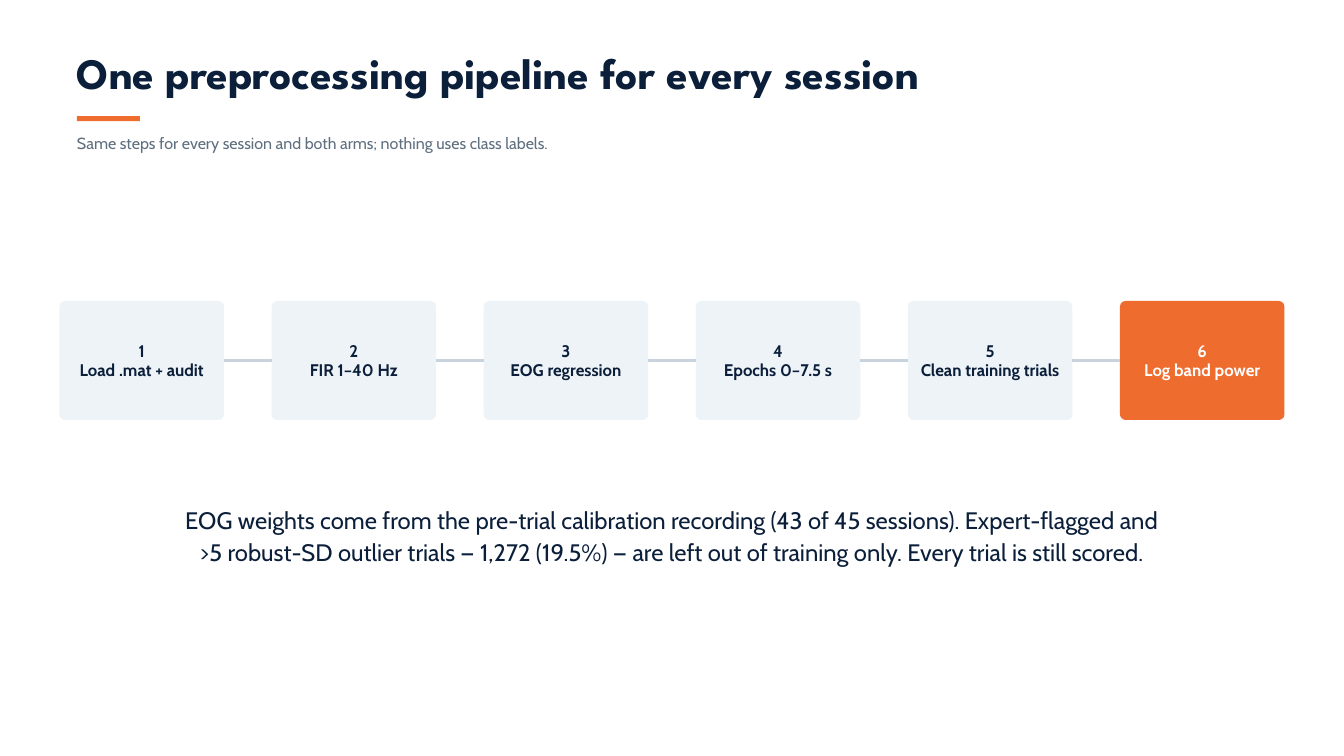
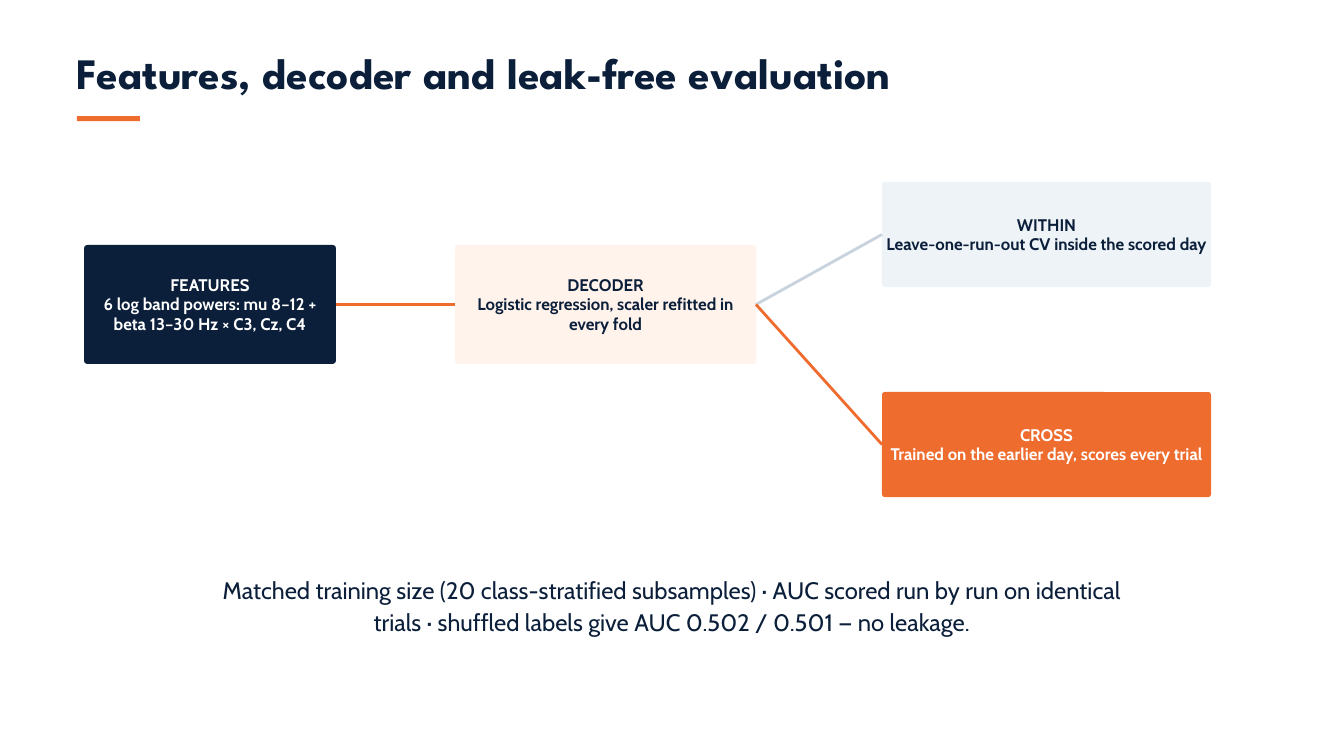
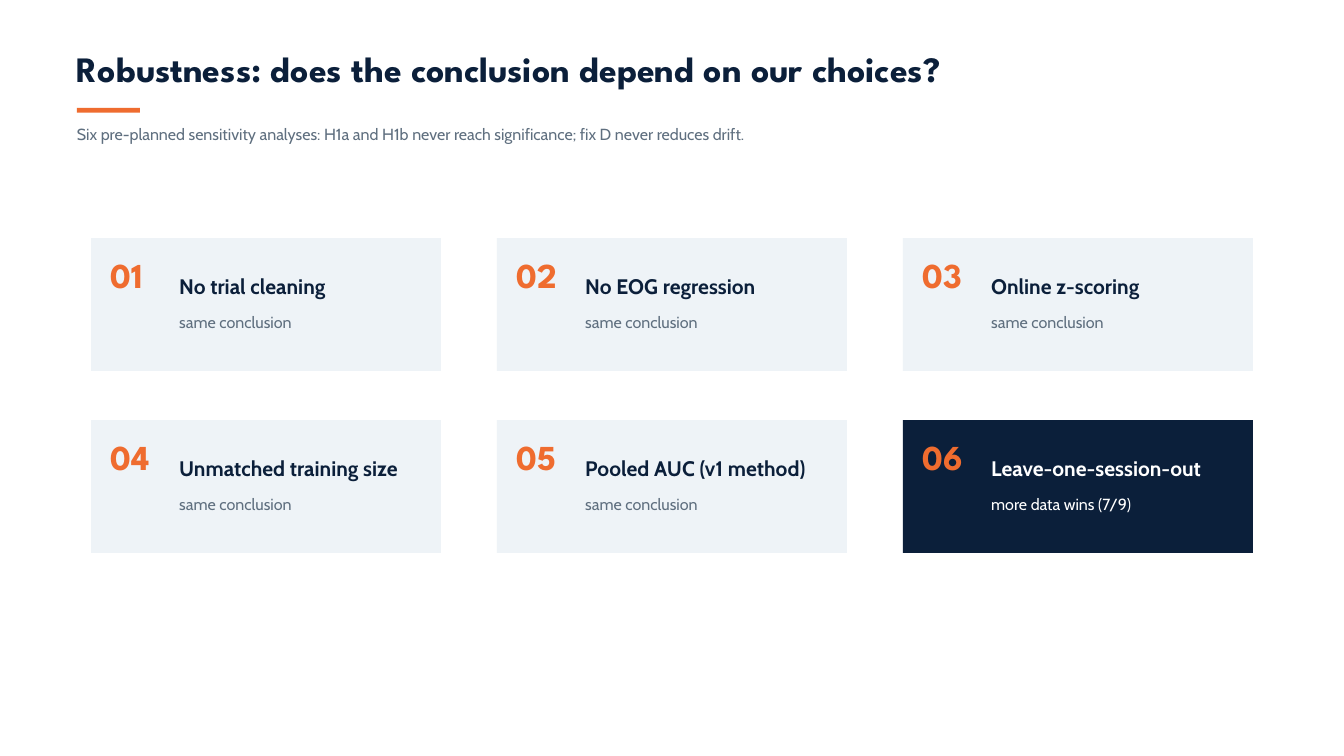
"""Build three slides on the pipeline, the evaluation design and the robustness checks."""
from dataclasses import dataclass

from lxml import etree
from pptx import Presentation
from pptx import util as u
from pptx.dml.color import RGBColor
from pptx.enum import shapes, text
from pptx.oxml import ns


@dataclass(frozen=True)
class Style:
    size: float
    leading: float
    font: str = "Cabin"
    bold: bool = False


@dataclass(frozen=True)
class Theme:
    navy: str = "0B1F3A"
    orange: str = "EF6C2F"
    gray: str = "5F6F7F"
    pale: str = "EEF3F7"
    cream: str = "FFF3EB"
    rule: str = "C8D3DD"
    white: str = "FFFFFF"
    title: Style = Style(46.5, 48.8, "League Spartan", True)
    long_title: Style = Style(38.2, 40.2, "League Spartan", True)
    subtitle: Style = Style(17.2, 22.4)
    box: Style = Style(18, 20.7, bold=True)
    note: Style = Style(25.5, 34.4)
    number: Style = Style(37.5, 35.6, "League Spartan", True)
    card: Style = Style(22.5, 30.4, bold=True)


THEME = Theme()
PX = 9525
SLIDE_SIZE = (1920, 1080)

PIPELINE = {
    "title": "One preprocessing pipeline for every session",
    "subtitle": "Same steps for every session and both arms; nothing uses class labels.",
    "steps": ["Load .mat + audit", "FIR 1–40 Hz", "EOG regression",
              "Epochs 0–7.5 s", "Clean training trials", "Log band power"],
    "note": "EOG weights come from the pre-trial calibration recording (43 of 45 sessions). "
            "Expert-flagged and >5 robust-SD outlier trials — 1,272 (19.5%) — are left out of "
            "training only. Every trial is still scored.",
}
EVALUATION = {
    "title": "Features, decoder and leak-free evaluation",
    "boxes": {
        "FEATURES": ("6 log band powers: mu 8–12 + beta 13–30 Hz × C3, Cz, C4",
                     (120, 350, 360, 170), THEME.navy, THEME.white, 5),
        "DECODER": ("Logistic regression, scaler refitted in every fold",
                    (650, 350, 430, 170), THEME.cream, THEME.navy, 4),
        "WITHIN": ("Leave-one-run-out CV inside the scored day",
                   (1260, 260, 470, 150), THEME.pale, THEME.navy, 4),
        "CROSS": ("Trained on the earlier day, scores every trial",
                  (1260, 560, 470, 150), THEME.orange, THEME.white, 4),
    },
    "links": [("FEATURES", "DECODER", THEME.orange, 3.75),
              ("DECODER", "WITHIN", THEME.rule, 3),
              ("DECODER", "CROSS", THEME.orange, 3)],
    "note": "Matched training size (20 class-stratified subsamples) · AUC scored run by run on "
            "identical trials · shuffled labels give AUC 0.502 / 0.501 — no leakage.",
}
ROBUSTNESS = {
    "title": "Robustness: does the conclusion depend on our choices?",
    "subtitle": "Six pre-planned sensitivity analyses: H1a and H1b never reach significance; "
                "fix D never reduces drift.",
    "cards": [("No trial cleaning", "same conclusion"),
              ("No EOG regression", "same conclusion"),
              ("Online z-scoring", "same conclusion"),
              ("Unmatched training size", "same conclusion"),
              ("Pooled AUC (v1 method)", "same conclusion"),
              ("Leave-one-session-out", "more data wins (7/9)")],
}


def place(frame):
    return [u.Emu(length * PX) for length in frame]


def write(shape, *lines, style, color=THEME.navy, align=text.PP_ALIGN.LEFT,
          anchor=text.MSO_ANCHOR.TOP, inset=0):
    """Fill a shape with one paragraph per line, all in one format."""
    frame = shape.text_frame
    frame.word_wrap = True
    frame.auto_size = text.MSO_AUTO_SIZE.NONE
    frame.vertical_anchor = anchor
    frame.margin_left = frame.margin_right = u.Emu(inset * PX)
    frame.margin_top = frame.margin_bottom = u.Emu(inset * PX)
    for index, line in enumerate(lines):
        para = frame.add_paragraph() if index else frame.paragraphs[0]
        para.alignment = align
        para.line_spacing = u.Pt(style.leading)
        para.space_before = para.space_after = u.Pt(0)
        span = para.add_run()
        span.text = line
        span.font.name = style.font
        span.font.size = u.Pt(style.size)
        span.font.bold = style.bold
        span.font.color.rgb = RGBColor.from_string(color)


def add_text(page, frame, line, **format):
    write(page.shapes.add_textbox(*place(frame)), line, **format)


def add_block(page, frame, fill, radius=0):
    kind = shapes.MSO_SHAPE.ROUNDED_RECTANGLE if radius else shapes.MSO_SHAPE.RECTANGLE
    block = page.shapes.add_shape(kind, *place(frame))
    if radius:
        block.adjustments[0] = radius / min(frame[2:])
    block.shadow.inherit = False
    block.fill.solid()
    block.fill.fore_color.rgb = RGBColor.from_string(fill)
    block.line.fill.background()
    return block


def add_box(page, frame, lines, fill, color, radius):
    box = add_block(page, frame, fill, radius)
    write(box, *lines, style=THEME.box, color=color, align=text.PP_ALIGN.CENTER,
          anchor=text.MSO_ANCHOR.MIDDLE, inset=5)
    return box


def link(page, start, end, color, width):
    """Join the right side of one box to the left side of another."""
    line = page.shapes.add_connector(shapes.MSO_CONNECTOR.STRAIGHT, 0, 0, 0, 0)
    line.begin_connect(start, 3)
    line.end_connect(end, 1)
    line.line.color.rgb = RGBColor.from_string(color)
    line.line.width = u.Pt(width)
    etree.SubElement(line.element.spPr, ns.qn("a:effectLst"))


def add_note(page, frame, line):
    add_text(page, frame, line, style=THEME.note, align=text.PP_ALIGN.CENTER)


def add_page(deck, content, style=THEME.title, top=75, height=67, bar_top=166):
    """Add a slide with its title, accent bar and optional subtitle."""
    page = deck.slides.add_slide(deck.slide_layouts.get_by_name("Title Only"))
    title = page.shapes.title
    title.left, title.top, title.width, title.height = place((110, top, 1500, height))
    write(title, content["title"], style=style)
    add_block(page, (110, bar_top, 90, 7), THEME.orange)
    if "subtitle" in content:
        add_text(page, (110, bar_top + 22, 1500, 29), content["subtitle"],
                 style=THEME.subtitle, color=THEME.gray)
    return page


def build_pipeline(deck):
    page = add_page(deck, PIPELINE)
    boxes = []
    for index, step in enumerate(PIPELINE["steps"]):
        last = index == len(PIPELINE["steps"]) - 1
        fill, color = (THEME.orange, THEME.white) if last else (THEME.pale, THEME.navy)
        boxes.append(add_box(page, (85 + 303 * index, 430, 235, 170),
                             (str(index + 1), step), fill, color, 8))
    for start, end in zip(boxes, boxes[1:]):
        link(page, start, end, THEME.rule, 3)
    add_note(page, (250, 717, 1420, 88), PIPELINE["note"])


def build_evaluation(deck):
    page = add_page(deck, EVALUATION)
    boxes = {name: add_box(page, frame, (name, detail), fill, color, radius)
             for name, (detail, frame, fill, color, radius) in EVALUATION["boxes"].items()}
    for start, end, color, width in EVALUATION["links"]:
        link(page, boxes[start], boxes[end], color, width)
    add_note(page, (300, 817, 1320, 88), EVALUATION["note"])


def build_robustness(deck):
    page = add_page(deck, ROBUSTNESS, THEME.long_title, top=74, height=55, bar_top=154)
    for index, (name, result) in enumerate(ROBUSTNESS["cards"]):
        row, column = divmod(index, 3)
        left, top = 130 + 580 * column, 340 + 260 * row
        last = index == len(ROBUSTNESS["cards"]) - 1
        fill, name_color, result_color = (
            (THEME.navy, THEME.white, THEME.white) if last
            else (THEME.pale, THEME.navy, THEME.gray))
        add_block(page, (left, top, 500, 190), fill)
        add_text(page, (left + 28, top + 35, 90, 52), f"{index + 1:02}",
                 style=THEME.number, color=THEME.orange)
        add_text(page, (left + 126, top + 46, 330, 37), name,
                 style=THEME.card, color=name_color)
        add_text(page, (left + 126, top + 104, 330, 28), result,
                 style=THEME.subtitle, color=result_color)


def main():
    deck = Presentation()
    deck.slide_width, deck.slide_height = place(SLIDE_SIZE)
    build_pipeline(deck)
    build_evaluation(deck)
    build_robustness(deck)
    deck.save("out.pptx")


if __name__ == "__main__":
    main()
